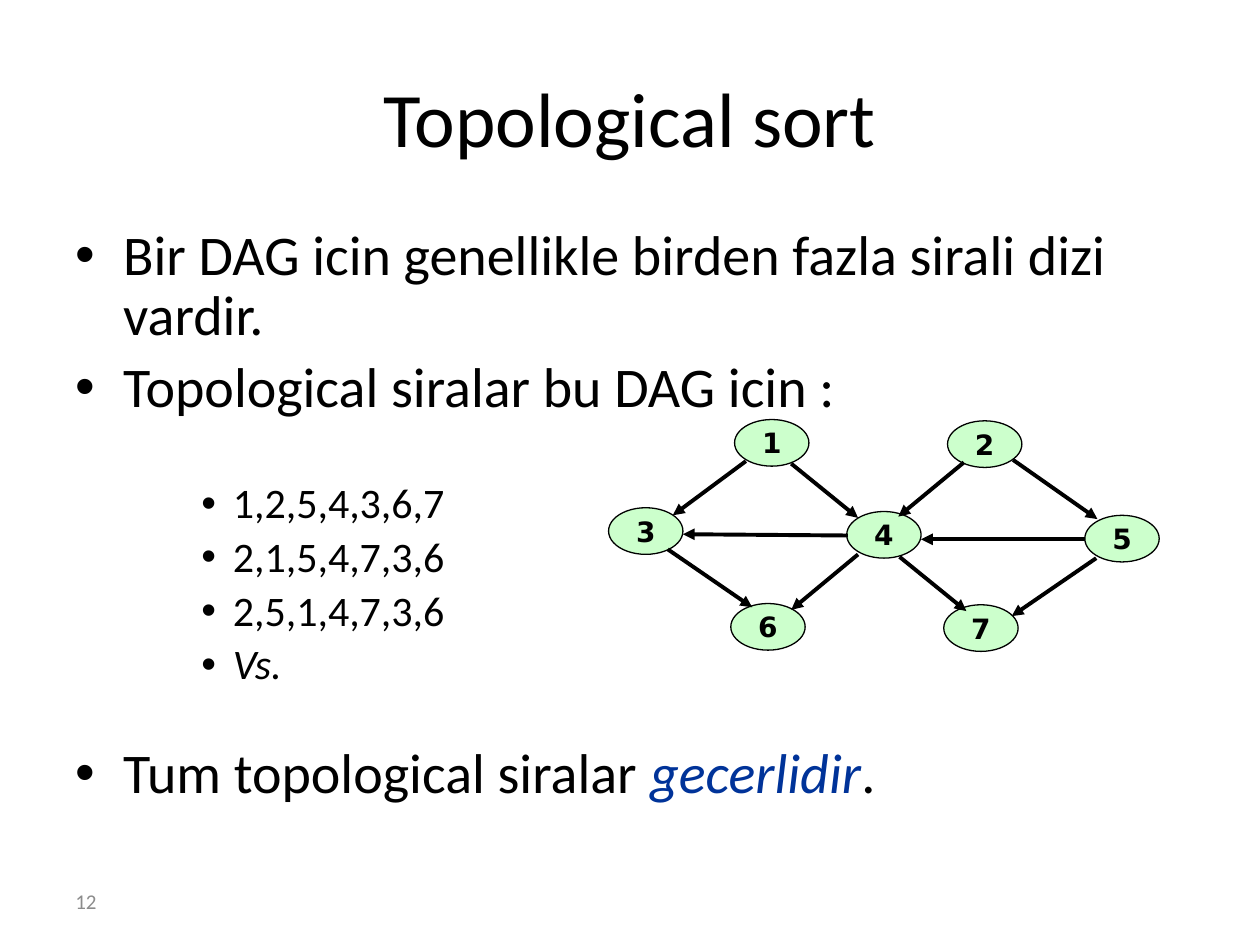
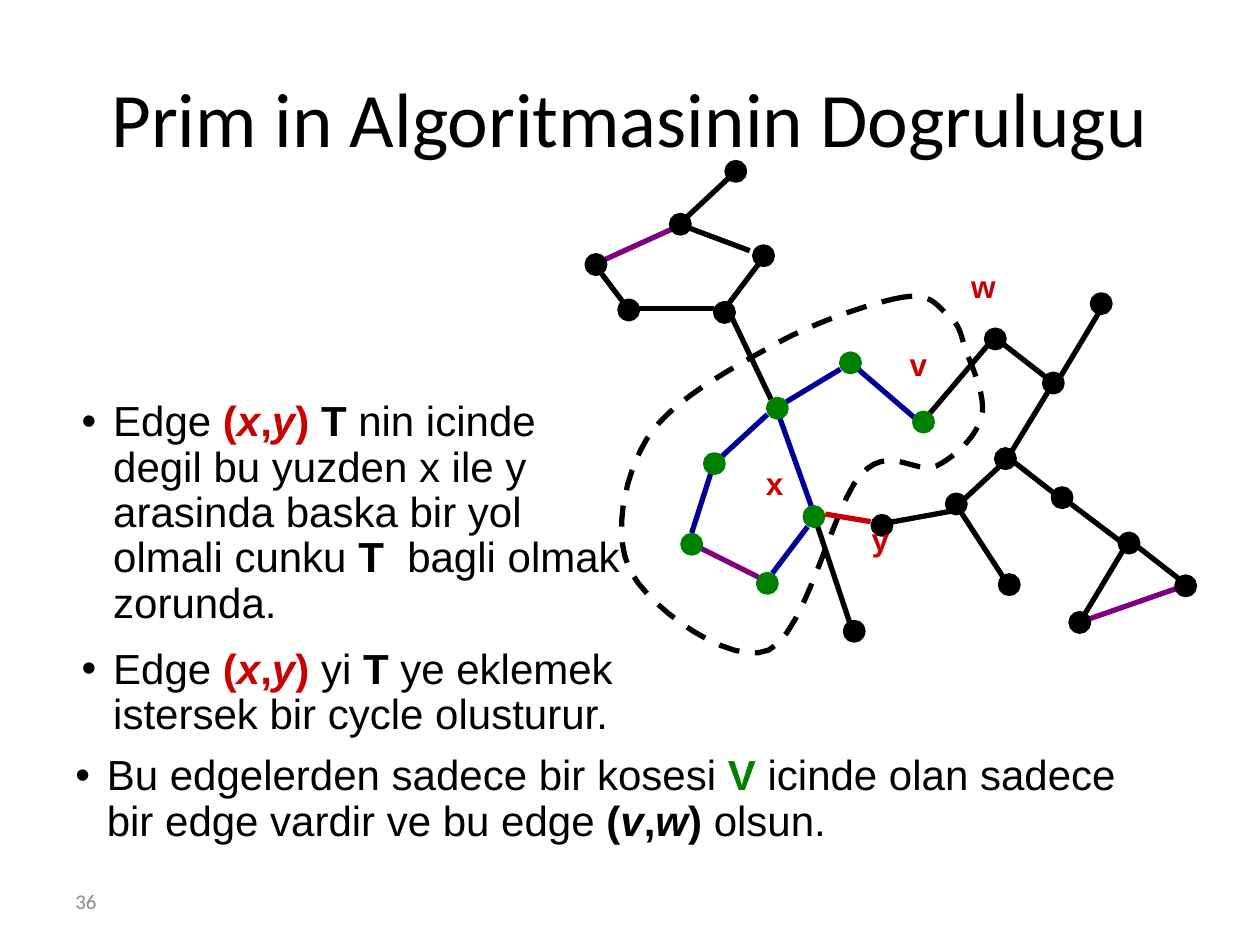
"""Build two lecture slides on topological sort and Prim's algorithm."""
from dataclasses import dataclass
from typing import NamedTuple

from lxml import etree
from pptx import Presentation
from pptx.dml.color import RGBColor
from pptx.enum.dml import MSO_LINE
from pptx.enum.shapes import MSO_CONNECTOR, MSO_SHAPE
from pptx.enum.text import MSO_ANCHOR, PP_ALIGN
from pptx.oxml.ns import qn
from pptx.util import Cm, Pt

OVAL, STRAIGHT = MSO_SHAPE.OVAL, MSO_CONNECTOR.STRAIGHT
MIDDLE, CENTER, DASH = MSO_ANCHOR.MIDDLE, PP_ALIGN.CENTER, MSO_LINE.DASH
TITLE_ONLY = 5
BLACK, GRAY, RED, GREEN = "000000", "8C8C8C", "CC0000", "008000"
BLUE, NAVY, PURPLE, MINT = "000099", "003399", "800080", "CCFFCC"
HEADING_FONT, BODY_FONT, NODE_FONT = "Calibri", "Arial", "DejaVu Sans"
NODE_SIZE = (0.59, 0.37)
VERTEX_SIZE = (0.14, 0.14)
CURVE_STEPS = 12


class Box(NamedTuple):
    """Left, top, width and height in inches."""
    left: float
    top: float
    width: float
    height: float


class Edge(NamedTuple):
    """Start and end of a graph edge in inches."""
    x1: float
    y1: float
    x2: float
    y2: float


@dataclass(frozen=True)
class Span:
    """A stretch of text in one format."""
    text: str
    color: str = BLACK
    bold: bool = False
    italic: bool = False


@dataclass(frozen=True)
class Bullet:
    """A bulleted paragraph with its spans, size, spacing and indents."""
    spans: list[Span]
    size: float
    before: float
    margin: float
    hanging: float
    level: int = 0


def inch(value: float) -> int:
    """Convert inches to a length."""
    return Cm(value * 2.54)


def rgb(color: str) -> RGBColor:
    """Convert a hex string to a colour."""
    return RGBColor.from_string(color)


def write(paragraph, text: str, *, size: float, font: str, color: str = BLACK,
          bold: bool = False, italic: bool = False, align=None) -> None:
    """Append formatted text to a paragraph."""
    run = paragraph.add_run()
    run.text = text
    run.font.size, run.font.name = Pt(size), font
    run.font.bold, run.font.italic = bold, italic
    run.font.color.rgb = rgb(color)
    if align is not None:
        paragraph.alignment = align


def add_text_frame(slide, box: Box):
    """Add a wrapping text box and return its frame."""
    frame = slide.shapes.add_textbox(*map(inch, box)).text_frame
    frame.word_wrap = True
    return frame


def add_bullets(slide, box: Box, bullets: list[Bullet], font: str) -> None:
    """Add a box of bulleted paragraphs."""
    frame = add_text_frame(slide, box)
    for index, bullet in enumerate(bullets):
        paragraph = frame.add_paragraph() if index else frame.paragraphs[0]
        paragraph.level = bullet.level
        paragraph.line_spacing = 0.9
        paragraph.space_before = Pt(bullet.before)
        properties = paragraph._p.get_or_add_pPr()
        properties.set("marL", str(inch(bullet.margin)))
        properties.set("indent", str(-inch(bullet.hanging)))
        etree.SubElement(properties, qn("a:buFont"), typeface="Arial")
        etree.SubElement(properties, qn("a:buChar"), char="•")
        for span in bullet.spans:
            write(paragraph, span.text, size=bullet.size, font=font,
                  color=span.color, bold=span.bold, italic=span.italic)


def add_oval(slide, box: Box, fill: str, outline: str, width: float):
    """Add a filled ellipse."""
    oval = slide.shapes.add_shape(OVAL, *map(inch, box))
    oval.shadow.inherit = False
    oval.fill.solid()
    oval.fill.fore_color.rgb = rgb(fill)
    oval.line.color.rgb = rgb(outline)
    oval.line.width = Pt(width)
    return oval


def add_edge(slide, edge: Edge, color: str, width: float, arrow: bool = False) -> None:
    """Add a straight edge, with an arrowhead at its end if wanted."""
    connector = slide.shapes.add_connector(STRAIGHT, *map(inch, edge))
    connector.line.color.rgb = rgb(color)
    connector.line.width = Pt(width)
    if arrow:
        etree.SubElement(connector.line._get_or_add_ln(), qn("a:tailEnd"), type="triangle")
    etree.SubElement(connector._element.spPr, qn("a:effectLst"))


def add_node(slide, label: str, left: float, top: float) -> None:
    """Add a numbered node of the DAG."""
    node = add_oval(slide, Box(left, top, *NODE_SIZE), MINT, BLACK, 0.75)
    frame = node.text_frame
    frame.word_wrap = False
    frame.vertical_anchor = MIDDLE
    write(frame.paragraphs[0], label, size=16, font=NODE_FONT, bold=True, align=CENTER)


def bezier(points: list[tuple[float, float]]) -> list[tuple[int, int]]:
    """Sample a chain of cubic curves after its starting point."""
    samples = []
    for first in range(0, len(points) - 1, 3):
        a, b, c, d = points[first:first + 4]
        for step in range(1, CURVE_STEPS + 1):
            t = step / CURVE_STEPS
            u = 1 - t
            weights = (u ** 3, 3 * u * u * t, 3 * u * t * t, t ** 3)
            x, y = (sum(w * p[axis] for w, p in zip(weights, (a, b, c, d))) for axis in (0, 1))
            samples.append((inch(x), inch(y)))
    return samples


def add_cut(slide, points: list[tuple[float, float]]) -> None:
    """Add the dashed outline around the vertices of the tree."""
    builder = slide.shapes.build_freeform(*map(inch, points[0]))
    builder.add_line_segments(bezier(points), close=True)
    cut = builder.convert_to_shape()
    cut.shadow.inherit = False
    cut.fill.background()
    cut.line.color.rgb = rgb(BLACK)
    cut.line.width = Pt(3)
    cut.line.dash_style = DASH


def start_slide(deck, title: str, number: str):
    """Add a slide with its title and number."""
    slide = deck.slides.add_slide(deck.slide_layouts[TITLE_ONLY])
    heading = slide.shapes.title
    heading.left, heading.top, heading.width, heading.height = map(inch, (0.5, 0.3, 9, 1.25))
    heading.text_frame.vertical_anchor = MIDDLE
    write(heading.text_frame.paragraphs[0], title, size=44, font=HEADING_FONT, align=CENTER)
    footer = add_text_frame(slide, Box(0.5, 6.95, 2.33, 0.4))
    footer.vertical_anchor = MIDDLE
    write(footer.paragraphs[0], number, size=12, font=HEADING_FONT, color=GRAY)
    return slide


def main_point(*spans: Span, before: float = 6.4) -> Bullet:
    """Make a first-level point of the topological sort slide."""
    return Bullet(list(spans), 32, before, 0.38, 0.38)


def ordering(text: str, before: float = 4.8, italic: bool = False) -> Bullet:
    """Make a third-level point listing one order."""
    return Bullet([Span(text, italic=italic)], 24, before, 1.25, 0.25, level=2)


def proof_step(*spans: Span) -> Bullet:
    """Make a point of the proof."""
    return Bullet(list(spans), 24, 12, 0.25, 0.25)


def edge_name(start: str, end: str, color: str) -> list[Span]:
    """Write an edge as a bold pair with italic vertex names."""
    parts = ("(", start, ",", end, ") ")
    return [Span(part, color, True, part in (start, end)) for part in parts]


def build_topological_sort(deck) -> None:
    """Build the topological sort slide."""
    slide = start_slide(deck, "Topological sort", "12")
    add_bullets(slide, Box(0.5, 1.75, 9, 4.95), [
        main_point(Span("Bir DAG icin genellikle birden fazla sirali dizi vardir.")),
        main_point(Span("Topological siralar bu DAG icin :")),
        ordering("1,2,5,4,3,6,7", before=36),
        ordering("2,1,5,4,7,3,6"),
        ordering("2,5,1,4,7,3,6"),
        ordering("Vs.", italic=True),
        main_point(Span("Tum topological siralar "), Span("gecerlidir", NAVY, italic=True),
                   Span("."), before=32),
    ], HEADING_FONT)
    nodes = {"1": (5.83, 3.33), "2": (7.52, 3.34), "3": (4.83, 4.03), "4": (6.72, 4.06),
             "5": (8.61, 4.09), "6": (5.8, 4.79), "7": (7.49, 4.8)}
    for label, corner in nodes.items():
        add_node(slide, label, *corner)
    arrows = [
        Edge(5.92, 3.66, 5.34, 4.09), Edge(8.7, 4.43, 8.03, 4.89),
        Edge(7.65, 3.67, 7.13, 4.1), Edge(6.28, 3.68, 6.81, 4.11),
        Edge(7.14, 4.42, 7.67, 4.85), Edge(6.81, 4.4, 6.28, 4.84),
        Edge(8.61, 4.28, 7.31, 4.28), Edge(6.73, 4.25, 5.42, 4.24),
        Edge(8.04, 3.65, 8.71, 4.12), Edge(5.3, 4.36, 5.97, 4.82),
    ]
    for arrow in arrows:
        add_edge(slide, arrow, BLACK, 2.25, arrow=True)


def draw_spanning_tree(slide) -> None:
    """Draw the tree, its cut and the vertex labels."""
    add_cut(slide, [
        (7.16, 2.36), (6.93, 2.4), (6.45, 2.56), (6.12, 2.75), (5.78, 2.94), (5.31, 3.19),
        (5.13, 3.49), (4.95, 3.79), (4.85, 4.28), (5.02, 4.56), (5.18, 4.84), (5.8, 5.29),
        (6.1, 5.16), (6.4, 5.02), (6.61, 4.01), (6.83, 3.77), (7.05, 3.52), (7.27, 3.77),
        (7.43, 3.7), (7.59, 3.62), (7.75, 3.46), (7.79, 3.31), (7.83, 3.15), (7.71, 2.9),
        (7.66, 2.77), (7.62, 2.63), (7.61, 2.57), (7.52, 2.5), (7.44, 2.43), (7.39, 2.32),
        (7.16, 2.36),
    ])
    edges = {
        BLACK: [
            Edge(7.63, 4.07, 8, 4.64), Edge(7.59, 4.02, 8, 3.64), Edge(8.5, 4, 8.95, 4.34),
            Edge(9.03, 4.34, 9.48, 4.69), Edge(8.93, 4.34, 8.57, 4.94),
            Edge(8, 3.63, 8.45, 3.98), Edge(8.36, 3.04, 8, 3.63), Edge(7.91, 2.69, 8.36, 3.04),
            Edge(8.74, 2.45, 8.38, 3.05), Edge(7.59, 4.05, 6.93, 4.17),
            Edge(6.49, 4.18, 6.77, 5.02), Edge(5.79, 2.48, 6.12, 3.17),
            Edge(5.67, 2.45, 5.02, 2.45), Edge(4.97, 2.43, 4.72, 2.1),
            Edge(6.1, 1.99, 5.73, 2.48), Edge(5.95, 1.99, 5.39, 1.78),
            Edge(5.84, 1.36, 5.39, 1.78), Edge(7.38, 3.28, 7.84, 2.74),
        ],
        BLUE: [
            Edge(6.41, 4.18, 6.13, 4.55), Edge(6.19, 3.32, 6.44, 4.02),
            Edge(6.09, 3.29, 5.71, 3.64), Edge(6.67, 2.93, 6.24, 3.19),
            Edge(6.81, 2.93, 7.31, 3.36), Edge(5.64, 3.76, 5.49, 4.23),
        ],
        PURPLE: [Edge(4.8, 2.06, 5.33, 1.82), Edge(8.65, 4.91, 9.34, 4.67),
                 Edge(5.56, 4.35, 6.02, 4.58)],
        RED: [Edge(6.91, 4.14, 6.55, 4.08)],
    }
    vertices = {
        BLACK: [(7.52, 3.93), (4.66, 2.03), (4.92, 2.39), (6.93, 4.1), (7.91, 3.57),
                (8.36, 3.88), (9.34, 4.58), (8.89, 4.24), (8.5, 4.87), (8.29, 2.97),
                (7.94, 4.57), (7.83, 2.62), (8.67, 2.34), (6.71, 4.94), (5.68, 2.41),
                (5.77, 1.29), (5.33, 1.71), (5.99, 1.96)],
        GREEN: [(6.1, 3.17), (6.02, 4.56), (6.39, 4.03), (6.68, 2.81), (7.26, 3.28),
                (5.42, 4.25), (5.6, 3.61)],
    }
    for color, group in edges.items():
        for edge in group:
            add_edge(slide, edge, color, 3)
    for color, corners in vertices.items():
        for corner in corners:
            add_oval(slide, Box(*corner, *VERTEX_SIZE), color, color, 3)
    labels = {"x": Box(5.98, 3.63, 0.48, 0.63), "y": Box(6.82, 4.08, 0.48, 0.63),
              "v": Box(7.12, 2.69, 0.45, 0.63), "w": Box(7.61, 2.07, 0.55, 0.63)}
    for name, box in labels.items():
        write(add_text_frame(slide, box).paragraphs[0], name,
              size=18, font=BODY_FONT, color=RED, bold=True)


def build_prim_proof(deck) -> None:
    """Build the slide on the correctness of Prim's algorithm."""
    slide = start_slide(deck, "Prim in Algoritmasinin Dogrulugu", "36")
    draw_spanning_tree(slide)
    add_bullets(slide, Box(0.5, 5.94, 8.66, 0.83), [
        proof_step(Span("Bu edgelerden sadece bir kosesi "), Span("V ", GREEN, True),
                   Span("icinde olan sadece bir edge vardir ve bu edge "),
                   *edge_name("v", "w", BLACK), Span("olsun.")),
    ], BODY_FONT)
    new_edge = [Span("Edge "), *edge_name("x", "y", RED)]
    add_bullets(slide, Box(0.55, 3.13, 4.58, 2.85), [
        proof_step(*new_edge, Span("T ", bold=True),
                   Span("nin icinde degil bu yuzden x ile y arasinda baska bir yol olmali cunku "),
                   Span("T  ", bold=True), Span("bagli olmak zorunda.")),
        proof_step(*new_edge, Span("yi "), Span("T ", bold=True),
                   Span("ye eklemek istersek bir cycle olusturur.")),
    ], BODY_FONT)


def main() -> None:
    """Build and save the deck."""
    deck = Presentation()
    deck.slide_width, deck.slide_height = inch(10), inch(7.5)
    build_topological_sort(deck)
    build_prim_proof(deck)
    deck.save("out.pptx")


if __name__ == "__main__":
    main()
